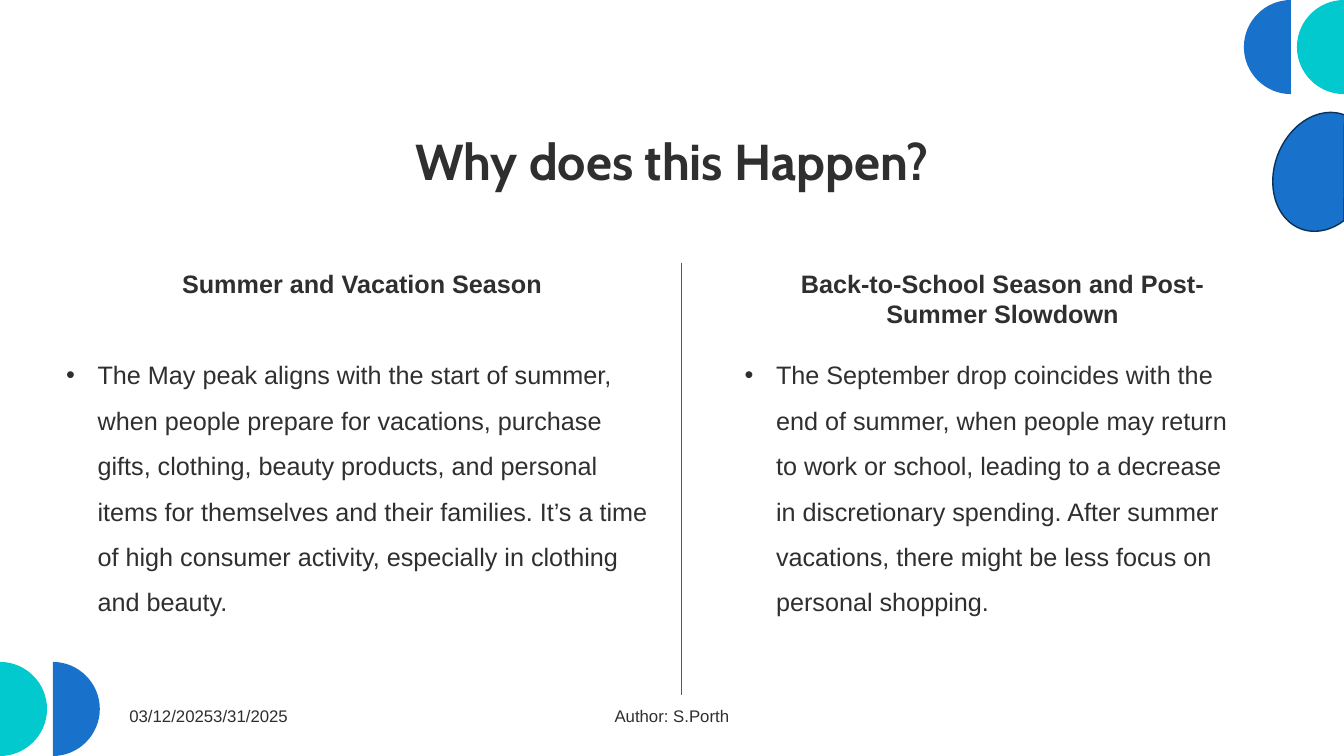
"""Builds the slide on why sales peak in May and drop in September."""
from dataclasses import dataclass

from lxml.etree import SubElement
from pptx import Presentation
from pptx.dml.color import RGBColor
from pptx.enum.shapes import MSO_CONNECTOR, MSO_SHAPE
from pptx.enum.text import MSO_ANCHOR, MSO_AUTO_SIZE, PP_ALIGN
from pptx.oxml.ns import qn
from pptx.util import Pt


@dataclass(frozen=True)
class Theme:
    ink: RGBColor = RGBColor.from_string("2F2F2F")
    gray: RGBColor = RGBColor.from_string("595959")
    blue: RGBColor = RGBColor.from_string("1871CA")
    teal: RGBColor = RGBColor.from_string("02C9CE")
    navy: RGBColor = RGBColor.from_string("0B3259")
    head: str = "Cabin"
    text: str = "Arial"
    large: int = 36
    body: int = 18
    small: int = 12


theme = Theme()


def place(shape, left, top, width, height):
    shape.left, shape.top = Pt(left), Pt(top)
    shape.width, shape.height = Pt(width), Pt(height)


def write(shape, text, size, face=theme.text, bold=False, align=PP_ALIGN.CENTER,
          inset=None, anchor=MSO_ANCHOR.TOP, bullet=False):
    frame = shape.text_frame
    frame.text = text
    frame.word_wrap = True
    frame.auto_size = MSO_AUTO_SIZE.NONE
    frame.vertical_anchor = anchor
    if inset is not None:
        frame.margin_left = frame.margin_right = Pt(inset)
        frame.margin_top = frame.margin_bottom = Pt(inset)
    para = frame.paragraphs[0]
    para.alignment = align
    para.space_before = Pt(0)
    para.line_spacing = 1.5 if bullet else 1.0
    if bullet:
        props = para._p.get_or_add_pPr()
        props.set("marL", str(Pt(22.5)))
        props.set("indent", str(Pt(-22.5)))
        SubElement(props, qn("a:buFont")).set("typeface", theme.text)
        SubElement(props, qn("a:buChar")).set("char", "•")
    font = para.font
    font.name, font.size, font.bold = face, Pt(size), bold
    font.color.rgb = theme.ink


deck = Presentation()
deck.slide_width, deck.slide_height = Pt(960), Pt(540)
slide = deck.slides.add_slide(deck.slide_layouts[4])
shapes = slide.shapes

radius, bend = 33.6, 0.55
discs = [
    (922.1, 0, -1, theme.blue),
    (960, 0, -1, theme.teal),
    (0, 540 - 2 * radius, 1, theme.teal),
    (37.7, 540 - 2 * radius, 1, theme.blue),
]
for edge, top, side, color in discs:
    mid, low = top + radius, top + 2 * radius
    path = shapes.build_freeform(Pt(edge), Pt(top))
    path.add_line_segments([
        (Pt(edge), Pt(low)), (Pt(edge + side * radius), Pt(mid)), (Pt(edge), Pt(top)),
    ])
    disc = path.convert_to_shape()
    flat = 0 if side > 0 else radius
    tip = radius - flat
    near = flat + side * radius * bend
    bends = [
        [(near, 2 * radius), (tip, radius * (1 + bend))],
        [(tip, radius * (1 - bend)), (near, 0)],
    ]
    lines = list(disc._element.iter(qn("a:lnTo")))
    for line, pair in zip(lines[1:], bends):
        line.tag = qn("a:cubicBezTo")
        end = line[0]
        for x, y in pair:
            point = SubElement(line, qn("a:pt"))
            point.set("x", str(Pt(x)))
            point.set("y", str(Pt(y)))
        line.append(end)
    SubElement(lines[0].getparent(), qn("a:close"))
    disc.shadow.inherit = False
    disc.fill.solid()
    disc.fill.fore_color.rgb = color
    disc.line.fill.background()

chord = shapes.add_shape(MSO_SHAPE.CHORD, Pt(910.5), Pt(79.2), Pt(68.4), Pt(87.1))
chord.rotation = 21.1
chord.shadow.inherit = False
chord.fill.solid()
chord.fill.fore_color.rgb = theme.blue
chord.line.color.rgb = theme.navy
chord.line.width = Pt(1)

place(shapes.title, 66.4, 69.8, 827.3, 89.3)
write(shapes.title, "Why does this Happen?", theme.large, theme.head, bold=True,
      inset=0, anchor=MSO_ANCHOR.MIDDLE)

holders = {item.placeholder_format.idx: item for item in slide.placeholders}
columns = [
    (1, "Summer and Vacation Season", (54.5, 188, 408.2, 29),
     "The May peak aligns with the start of summer, when people prepare for "
     "vacations, purchase gifts, clothing, beauty products, and personal items "
     "for themselves and their families. It’s a time of high consumer activity, "
     "especially in clothing and beauty.", (40, 242.6, 437, 199.4)),
    (3, "Back-to-School Season and Post-Summer Slowdown", (538.6, 188, 355, 51),
     "The September drop coincides with the end of summer, when people may "
     "return to work or school, leading to a decrease in discretionary spending. "
     "After summer vacations, there might be less focus on personal shopping.",
     (524.6, 242.6, 368.6, 232.6)),
]
for idx, head, head_box, body, body_box in columns:
    place(holders[idx], *head_box)
    write(holders[idx], head, theme.body, bold=True)
    place(holders[idx + 1], *body_box)
    write(holders[idx + 1], body, theme.body, align=PP_ALIGN.LEFT, bullet=True)

rule = shapes.add_connector(MSO_CONNECTOR.STRAIGHT, Pt(486.7), Pt(188), Pt(486.7), Pt(496.4))
rule.line.color.rgb = theme.gray
rule.line.width = Pt(0.5)
SubElement(rule._element.spPr, qn("a:effectLst"))

footers = [
    ("03/12/20253/31/2025", 92.4, 216, PP_ALIGN.LEFT),
    ("Author: S.Porth", 336, 288, PP_ALIGN.CENTER),
]
for text, left, width, align in footers:
    box = shapes.add_textbox(Pt(left), Pt(504), Pt(width), Pt(21))
    write(box, text, theme.small, align=align, inset=0)

deck.save("out.pptx")
